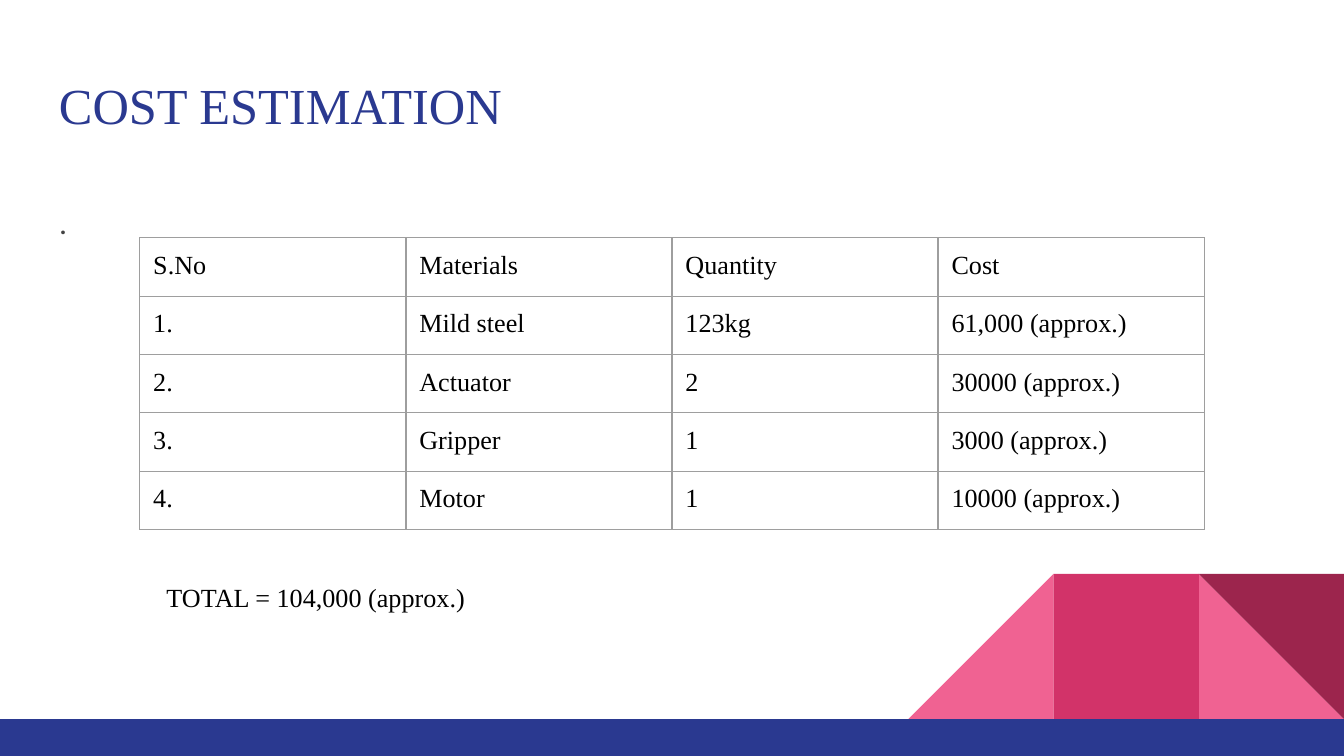
import pptx
import pptx.util
import pptx.dml.color
import pptx.enum.shapes
import pptx.enum.text
from dataclasses import dataclass
from lxml import etree

Inches = pptx.util.Inches
Pt = pptx.util.Pt
Kind = pptx.enum.shapes.MSO_SHAPE
Anchor = pptx.enum.text.MSO_ANCHOR


@dataclass(frozen=True)
class Theme:
    serif: str = "Times New Roman"
    sans: str = "Roboto"
    blue: str = "2A3990"
    pink: str = "F06292"
    rose: str = "D23369"
    wine: str = "9C254D"
    grey: str = "434343"
    rule: str = "9E9E9E"
    black: str = "000000"
    head: float = 27
    body: float = 18
    cell: float = 14
    pad: float = 0.1
    line: float = 0.75


THEME = Theme()
ROWS = [
    ("S.No", "Materials", "Quantity", "Cost"),
    ("1.", "Mild steel", "123kg", "61,000 (approx.)"),
    ("2.", "Actuator", "2", "30000 (approx.)"),
    ("3.", "Gripper", "1", "3000 (approx.)"),
    ("4.", "Motor", "1", "10000 (approx.)"),
]


def color(code):
    return pptx.dml.color.RGBColor.from_string(code)


def style(frame, size, face, code):
    for run in frame.paragraphs[0].runs:
        run.font.size = Pt(size)
        run.font.name = face
        run.font.color.rgb = color(code)


def add_text(slide, box, text, size, face, code, anchor=Anchor.MIDDLE):
    frame = slide.shapes.add_textbox(*map(Inches, box)).text_frame
    frame.word_wrap = True
    frame.vertical_anchor = anchor
    frame.margin_left = frame.margin_right = Inches(THEME.pad)
    frame.margin_top = frame.margin_bottom = Inches(THEME.pad)
    frame.text = text
    style(frame, size, face, code)
    return frame


def add_block(slide, kind, box, code):
    shape = slide.shapes.add_shape(kind, *map(Inches, box))
    shape.shadow.inherit = False
    shape.fill.solid()
    shape.fill.fore_color.rgb = color(code)
    shape.line.fill.background()
    return shape


def add_decor(slide, box):
    """Draw three square tiles, one of them split, along the box."""
    left, top, width, height = box
    side = width / 3
    tiles = [(left + side * i, top, side, height) for i in range(3)]
    add_block(slide, Kind.RIGHT_TRIANGLE, tiles[2], THEME.pink)
    slope = add_block(slide, Kind.RIGHT_TRIANGLE, tiles[0], THEME.pink)
    slope._element.spPr.xfrm.set("flipH", "1")
    add_block(slide, Kind.RECTANGLE, tiles[1], THEME.rose)
    fold = add_block(slide, Kind.RIGHT_TRIANGLE, tiles[2], THEME.wine)
    fold.rotation = 180


def add_edges(cell):
    """Rule all four sides of a cell; the edges go ahead of its fill."""
    props = cell._tc.get_or_add_tcPr()
    for i, side in enumerate(("lnL", "lnR", "lnT", "lnB")):
        edge = etree.fromstring(
            f'<a:{side} xmlns:a="http://schemas.openxmlformats.org/drawingml/2006/main"'
            f' w="{Pt(THEME.line)}"><a:solidFill><a:srgbClr val="{THEME.rule}"/>'
            f"</a:solidFill></a:{side}>")
        props.insert(i, edge)


def add_costs(slide, box):
    frame = slide.shapes.add_table(len(ROWS), len(ROWS[0]), *map(Inches, box))
    table = frame.table
    table.first_row = table.horz_banding = False
    for r, row in enumerate(ROWS):
        for c, text in enumerate(row):
            cell = table.cell(r, c)
            cell.fill.background()
            cell.margin_left = cell.margin_right = Inches(THEME.pad)
            cell.margin_top = cell.margin_bottom = Inches(THEME.pad)
            cell.text_frame.text = text
            style(cell.text_frame, THEME.cell, THEME.serif, THEME.black)
            add_edges(cell)


def main():
    deck = pptx.Presentation()
    deck.slide_width, deck.slide_height = Inches(10), Inches(5.625)
    slide = deck.slides.add_slide(deck.slide_layouts[6])
    add_decor(slide, (6.76, 4.27, 3.24, 1.08))
    add_block(slide, Kind.RECTANGLE, (0, 5.35, 10, 0.28), THEME.blue)
    add_text(slide, (0.34, 0.45, 9.32, 0.66), "COST ESTIMATION",
             THEME.head, THEME.serif, THEME.blue)
    note = add_text(slide, (0.34, 1.35, 9.32, 3.65), ".",
                    THEME.body, THEME.sans, THEME.grey, Anchor.TOP)
    note.paragraphs[0].line_spacing = 1.15
    note.paragraphs[0].space_after = Pt(12)
    add_costs(slide, (1.04, 1.77, 7.92, 2.08))
    add_text(slide, (1.14, 4.22, 3.99, 0.44), "TOTAL = 104,000 (approx.)",
             THEME.cell, THEME.serif, THEME.black)
    deck.save("out.pptx")


if __name__ == "__main__":
    main()
